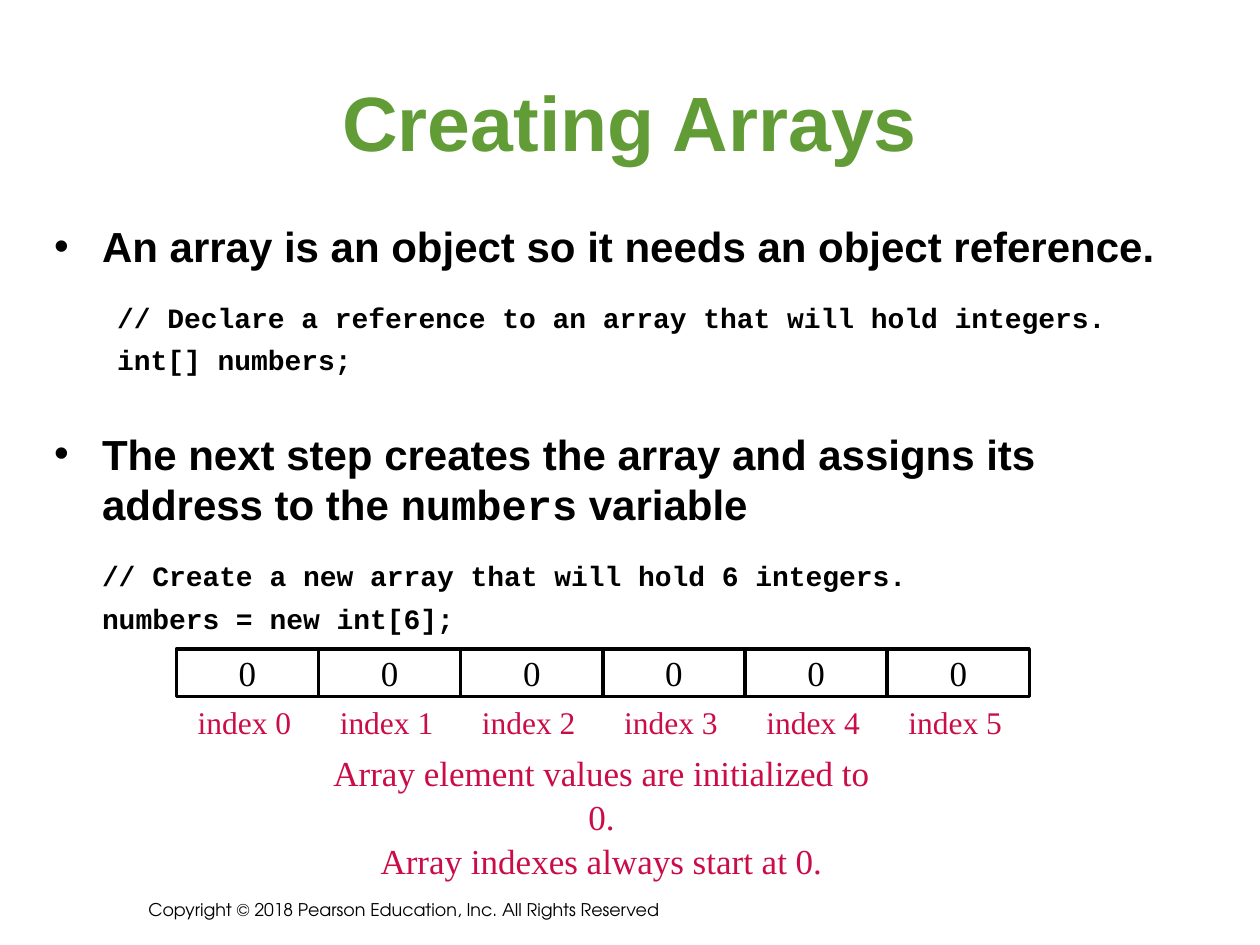
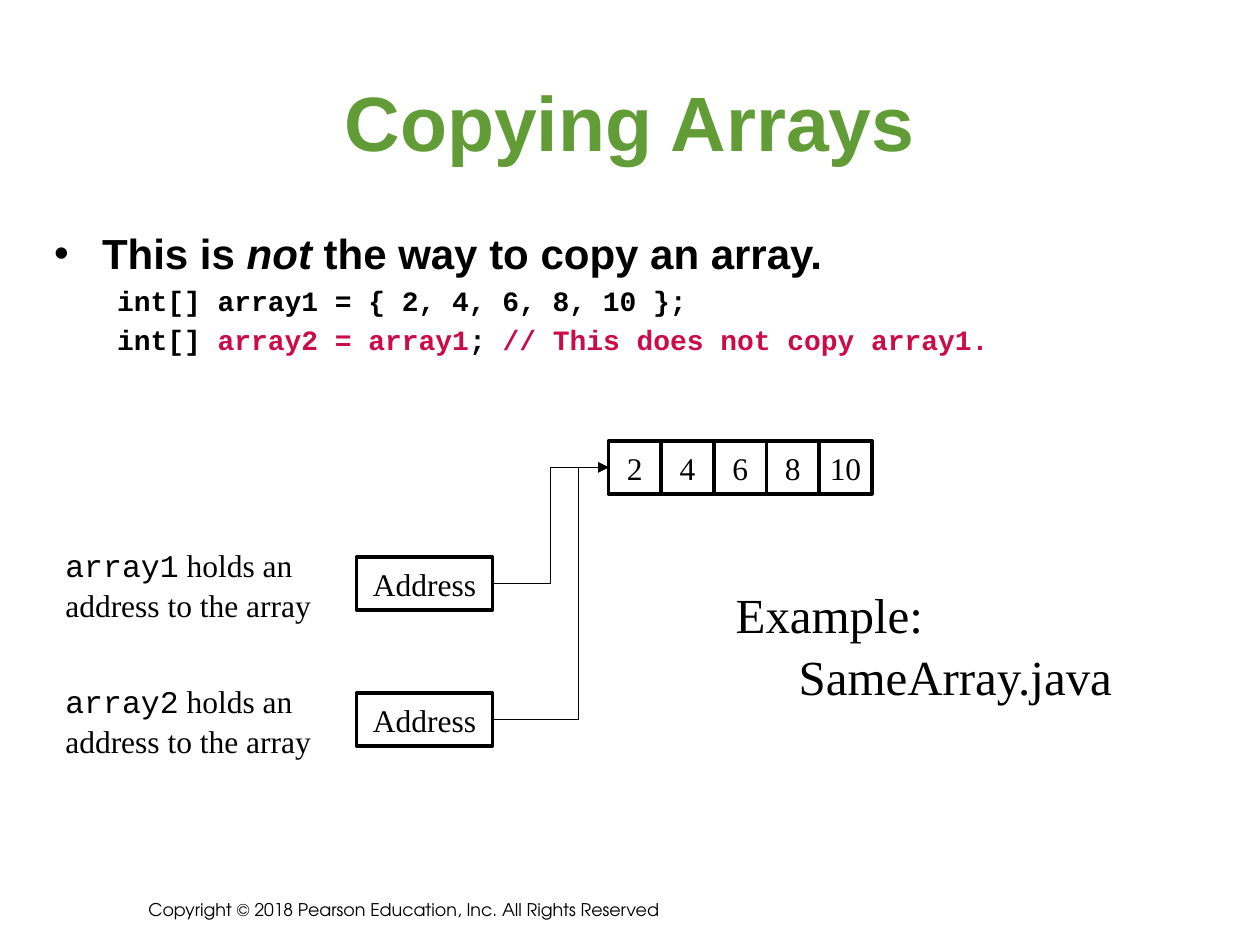
from lxml import etree
from pptx import Presentation
from pptx.dml.color import RGBColor
from pptx.enum.shapes import MSO_CONNECTOR, MSO_SHAPE
from pptx.enum.text import MSO_ANCHOR, MSO_AUTO_SIZE, PP_ALIGN
from pptx.oxml.ns import qn
from pptx.util import Inches, Pt

ELBOW, RECTANGLE = MSO_CONNECTOR.ELBOW, MSO_SHAPE.RECTANGLE
LEFT, CENTER = PP_ALIGN.LEFT, PP_ALIGN.CENTER
MIDDLE, BOTTOM = MSO_ANCHOR.MIDDLE, MSO_ANCHOR.BOTTOM
FIT_SHAPE, NO_FIT = MSO_AUTO_SIZE.SHAPE_TO_FIT_TEXT, MSO_AUTO_SIZE.NONE
RIGHT_SIDE, LEFT_SIDE = 3, 1

BLACK = RGBColor(0, 0, 0)
WHITE = RGBColor(255, 255, 255)
GREEN = RGBColor(0x62, 0x9C, 0x36)
CRIMSON = RGBColor(0xCA, 0x0C, 0x48)
SANS, MONO, SERIF, FOOTER_FONT = "Arial", "Courier New", "Times New Roman", "TeX Gyre Adventor"

FOOTER = "Copyright © 2018 Pearson Education, Inc. All Rights Reserved"

# Paragraph styles of the body: outline level, margin, first-line indent, bullet, size, font
BODY_STYLES = {
    "point": dict(level=0, margin=0.38, indent=-0.38, bullet="•", size=24, font=SANS),
    "code": dict(level=1, margin=0.81, indent=-0.31, bullet=None, size=16, font=MONO),
    "flush code": dict(level=0, margin=0.38, indent=0, bullet=None, size=16, font=MONO),
}

# Body paragraphs: style, space before in points, spans as (text, own format)
CREATING = {
    "title": "Creating Arrays",
    "body_area": (0.33, 1.65, 9, 3.42),
    "line_spacing": 1,
    "body": [
        ("point", 0, [("An array is an object so it needs an object reference.", {})]),
        ("code", 17, [("// Declare a reference to an array that will hold integers.", {})]),
        ("code", 5, [("int[] numbers;", {})]),
        ("point", 29.5, [("The next step creates the array and assigns its address to the ", {}),
                         ("numbers", {"font": MONO}), (" variable", {})]),
        ("flush code", 17, [("// Create a new array that will hold 6 integers.", {})]),
        ("flush code", 5, [("numbers = new int[6];", {})]),
    ],
}
COPYING = {
    "title": "Copying Arrays",
    "body_area": (0.33, 1.75, 9.07, 1.53),
    "line_spacing": 0.9,
    "body": [
        ("point", 0, [("This is ", {}), ("not", {"italic": True}),
                      (" the way to copy an array.", {})]),
        ("code", 5, [("int[] array1 = { 2, 4, 6, 8, 10 };", {})]),
        ("code", 5, [("int[] ", {}), ("array2 = array1", {"color": CRIMSON}), ("; ", {}),
                     ("// This does not copy array1.", {"color": CRIMSON})]),
    ],
}
NEW_VALUES = ["0"] * 6
NEW_ROW = (1.4, 5.15, 6.77, 0.38)
INITIAL_NOTE = "Array element values are initialized to 0.\nArray indexes always start at 0."
SHARED_VALUES = ["2", "4", "6", "8", "10"]
SHARED_ROW = (4.83, 3.5, 2.09, 0.42)
# Variable, top of its address box, bend of its arrow as a share of the arrow's width
REFERENCES = [("array1", 4.42, 0.5), ("array2", 5.5, 0.74)]
EXAMPLE = "Example:\nSameArray.java"


def write(para, text, size=18, font=SERIF, color=BLACK, bold=False, italic=False):
    """Add text to a paragraph; a newline becomes a line break."""
    for number, line in enumerate(text.split("\n")):
        if number:
            para.add_line_break()
        span = para.add_run()
        span.text = line
        span.font.size = Pt(size)
        span.font.name = font
        span.font.color.rgb = color
        span.font.bold = bold
        span.font.italic = italic


def indent(para, margin, first_line, bullet=None):
    properties = para._p.get_or_add_pPr()
    properties.set("marL", str(Inches(margin)))
    properties.set("indent", str(Inches(first_line)))
    if bullet:
        color = etree.SubElement(properties, qn("a:buClr"))
        etree.SubElement(color, qn("a:srgbClr"), val=str(BLACK))
        etree.SubElement(properties, qn("a:buFont"), typeface=SANS)
        etree.SubElement(properties, qn("a:buChar"), char=bullet)
    else:
        etree.SubElement(properties, qn("a:buNone"))


def place(shape, area):
    shape.left, shape.top, shape.width, shape.height = map(Inches, area)


def add_label(page, area, paragraphs, align=LEFT, line_spacing=1.0, **style):
    """Add an unwrapped text box; each paragraph is a list of (text, own format)."""
    box = page.shapes.add_textbox(*map(Inches, area))
    frame = box.text_frame
    frame.word_wrap = False
    frame.auto_size = FIT_SHAPE
    for number, spans in enumerate(paragraphs):
        para = frame.add_paragraph() if number else frame.paragraphs[0]
        para.alignment = align
        para.line_spacing = line_spacing
        for text, own in spans:
            write(para, text, **{**style, **own})
    return box


def add_cell(page, area, text, size):
    cell = page.shapes.add_shape(RECTANGLE, *map(Inches, area))
    cell.shadow.inherit = False
    cell.fill.solid()
    cell.fill.fore_color.rgb = WHITE
    cell.line.color.rgb = BLACK
    cell.line.width = Pt(2)
    frame = cell.text_frame
    frame.word_wrap = False
    frame.vertical_anchor = MIDDLE
    frame.paragraphs[0].alignment = CENTER
    write(frame.paragraphs[0], text, size=size)
    return cell


def add_array(page, area, values, size):
    """Draw the values as equal adjoining cells and return the cells."""
    left, top, width, height = area
    step = width / len(values)
    return [add_cell(page, (left + column * step, top, step, height), value, size)
            for column, value in enumerate(values)]


def add_arrow(page, source, target, bend):
    arrow = page.shapes.add_connector(
        ELBOW, source.left + source.width, source.top + source.height // 2,
        target.left, target.top + target.height // 2)
    arrow.begin_connect(source, RIGHT_SIDE)
    arrow.end_connect(target, LEFT_SIDE)
    arrow.line.color.rgb = BLACK
    arrow.line.width = Pt(0.75)
    properties = arrow._element.spPr
    etree.SubElement(properties.find(qn("a:ln")), qn("a:tailEnd"), type="triangle")
    etree.SubElement(properties, qn("a:effectLst"))
    adjustments = properties.find(qn("a:prstGeom")).get_or_add_avLst()
    etree.SubElement(adjustments, qn("a:gd"), name="adj1", fmla=f"val {round(bend * 100000)}")


def add_page(deck, content):
    """Add a slide with its footer, title and body."""
    page = deck.slides.add_slide(deck.slide_layouts[1])

    footer = page.shapes.add_textbox(*map(Inches, (1.08, 7.02, 7.16, 0.33)))
    footer.text_frame.word_wrap = True
    footer.text_frame.vertical_anchor = BOTTOM
    write(footer.text_frame.paragraphs[0], FOOTER, size=10, font=FOOTER_FONT)

    title = page.shapes.title
    place(title, (0.5, 0.33, 9, 1.25))
    title.text_frame.auto_size = NO_FIT
    title.text_frame.vertical_anchor = MIDDLE
    title.text_frame.paragraphs[0].alignment = CENTER
    write(title.text_frame.paragraphs[0], content["title"],
          size=44, font=SANS, color=GREEN, bold=True)

    body = page.placeholders[1]
    place(body, content["body_area"])
    frame = body.text_frame
    frame.auto_size = NO_FIT
    frame.margin_top = Inches(0.1)
    for number, (name, space, spans) in enumerate(content["body"]):
        style = BODY_STYLES[name]
        para = frame.add_paragraph() if number else frame.paragraphs[0]
        para.level = style["level"]
        para.line_spacing = content["line_spacing"]
        para.space_before = Pt(space)
        indent(para, style["margin"], style["indent"], style["bullet"])
        for text, own in spans:
            write(para, text, **{"size": style["size"], "font": style["font"],
                                 "bold": True, **own})
    return page


def build_creating(deck):
    page = add_page(deck, CREATING)
    left, top, width, height = NEW_ROW
    step = width / len(NEW_VALUES)
    add_array(page, NEW_ROW, NEW_VALUES, size=20)
    for index in range(len(NEW_VALUES)):
        add_label(page, (left + index * step + 0.07, top + height, 0.94, 0.4),
                  [[(f"index {index}", {})]], align=CENTER, color=CRIMSON)
    add_label(page, (2.41, 5.9, 4.73, 0.77), [[(INITIAL_NOTE, {})]],
              align=CENTER, line_spacing=1.05, size=20, color=CRIMSON)


def build_copying(deck):
    page = add_page(deck, COPYING)
    first_cell = add_array(page, SHARED_ROW, SHARED_VALUES, size=18)[0]
    for variable, top, bend in REFERENCES:
        address = add_cell(page, (2.83, top, 1.08, 0.42), "Address", size=18)
        add_label(page, (0.42, top - 0.15, 2.15, 0.7),
                  [[(variable, {"font": MONO}), (" holds an", {})],
                   [("address to the array", {})]], line_spacing=1.05)
        add_arrow(page, address, first_cell, bend)
    example = add_label(page, (5.74, 4.57, 3.21, 1.04), [[(EXAMPLE, {})]],
                        line_spacing=1.05, size=28)
    indent(example.text_frame.paragraphs[0], 0.5, -0.5)


def main():
    deck = Presentation()
    deck.slide_width, deck.slide_height = Inches(10), Inches(7.5)
    build_creating(deck)
    build_copying(deck)
    deck.save("out.pptx")


if __name__ == "__main__":
    main()
